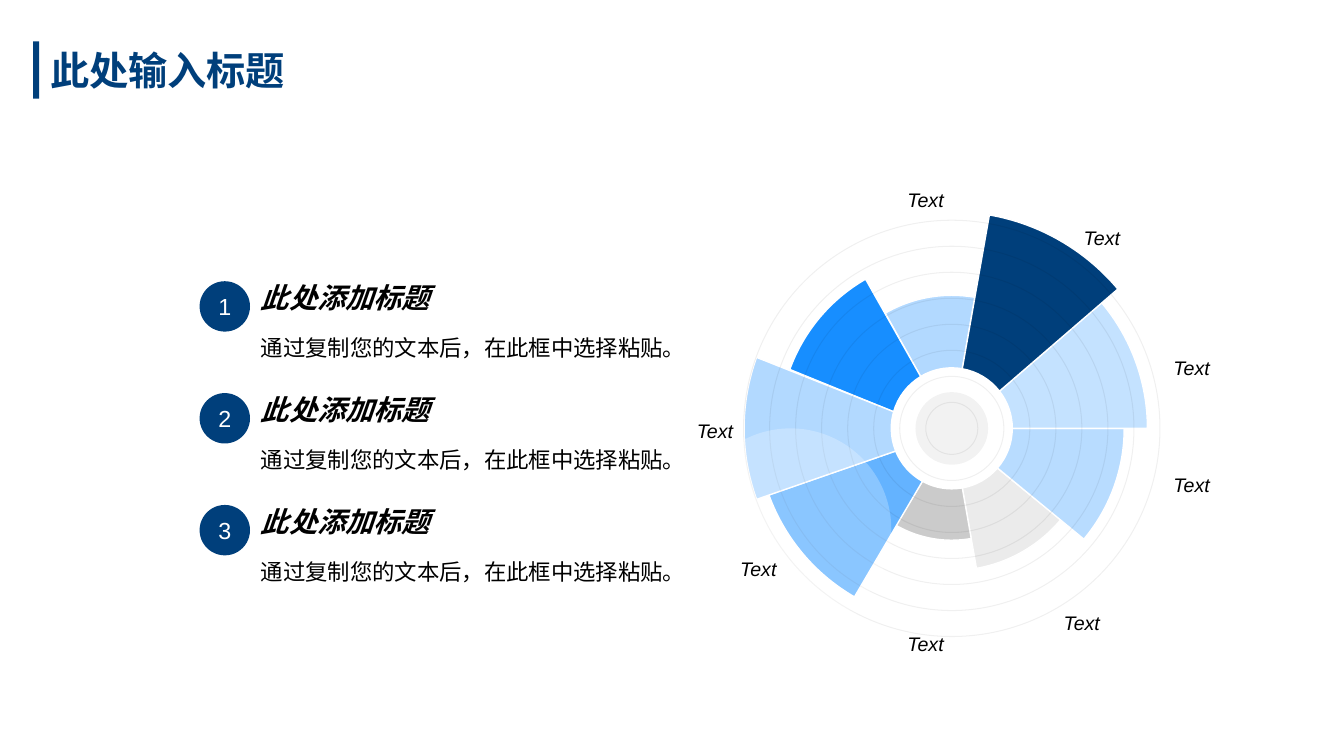
import math

import pptx
import pptx.util
from lxml import etree
from pptx.dml.color import RGBColor
from pptx.enum.shapes import MSO_SHAPE
from pptx.enum.text import MSO_ANCHOR, PP_ALIGN
from pptx.oxml.ns import qn
from pptx.util import Inches

NAVY = RGBColor(0x00, 0x3F, 0x7B)
BLUE = RGBColor(0x17, 0x8E, 0xFF)
MID_BLUE = RGBColor(0x64, 0xB3, 0xFF)
PALE_BLUE = RGBColor(0xB2, 0xD9, 0xFF)
GRAY = RGBColor(0xBF, 0xBF, 0xBF)
LIGHT_GRAY = RGBColor(0xD9, 0xD9, 0xD9)
WHITE = RGBColor(0xFF, 0xFF, 0xFF)
BLACK = RGBColor(0x00, 0x00, 0x00)

FONT = "Arial"
CX, CY = 9.44, 4.25
HUB_RADIUS = 0.6
SECTOR_ANGLE = 40
# Where the sector borders meet the hub, clockwise from three o'clock
HUB_ANGLES = [0, 41, 80, 119, 158, 196, 239, 280, 322, 360]
RING_COUNT = 8
OUTER_RING_DIAMETER = 4.13
ROW_PITCH = 1.11

# Position clockwise from three o'clock, outer radius, colour, opacity
SECTORS = [
    (6, 1.32, PALE_BLUE, 100),
    (1, 1.41, LIGHT_GRAY, 50),
    (5, 1.71, BLUE, 100),
    (0, 1.71, BLUE, 30),
    (2, 1.11, GRAY, 80),
    (8, 1.94, BLUE, 25),
    (3, 1.93, MID_BLUE, 100),
    (7, 2.15, NAVY, 100),
    (4, 2.06, PALE_BLUE, 100),
]

LABELS = [
    (6.75, 4.1, PP_ALIGN.RIGHT),
    (7.18, 5.47, PP_ALIGN.RIGHT),
    (11.54, 4.64, PP_ALIGN.LEFT),
    (11.54, 3.48, PP_ALIGN.LEFT),
    (10.65, 2.19, PP_ALIGN.LEFT),
    (8.87, 1.81, PP_ALIGN.CENTER),
    (8.87, 6.22, PP_ALIGN.CENTER),
    (10.45, 6.01, PP_ALIGN.LEFT),
]


def paint(fill, color, opacity=100):
    fill.solid()
    fill.fore_color.rgb = color
    if opacity < 100:
        clr = next(fill._xPr.iter(qn("a:srgbClr")))
        etree.SubElement(clr, qn("a:alpha")).set("val", str(opacity * 1000))


def add_filled(slide, kind, x, y, w, h, color, opacity=100):
    sp = slide.shapes.add_shape(kind, Inches(x), Inches(y), Inches(w), Inches(h))
    sp.shadow.inherit = False
    paint(sp.fill, color, opacity)
    sp.line.fill.background()
    return sp


def add_disc(slide, cx, cy, radius, color, opacity=100):
    return add_filled(slide, MSO_SHAPE.OVAL, cx - radius, cy - radius,
                      2 * radius, 2 * radius, color, opacity)


def add_ring(slide, radius):
    sp = add_disc(slide, CX, CY, radius, WHITE)
    sp.fill.background()
    paint(sp.line.fill, BLACK, 5)
    sp.line.width = pptx.util.Pt(0.75)


def polar(radius, angle):
    a = math.radians(angle)
    return Inches(CX + radius * math.cos(a)), Inches(CY + radius * math.sin(a))


def arc_knots(start, end):
    """Ends of an arc, with any quarter turn between them."""
    return [start] + [q for q in (90, 180, 270) if start < q < end] + [end]


def arc_controls(radius, start, end):
    """Bezier control points of an arc."""
    turn = math.radians(end - start)
    pull = 4 / 3 * math.tan(turn / 4)
    reach = radius * math.hypot(1, pull)
    swing = math.degrees(math.atan(pull))
    return [polar(reach, start + swing), polar(reach, end - swing)]


def curve_segment(sp, line_to, controls):
    """Turn one straight segment of a freeform into a curve."""
    line_to.tag = qn("a:cubicBezTo")
    for i, (x, y) in enumerate(controls):
        pt = etree.Element(qn("a:pt"), x=str(x - sp.left), y=str(y - sp.top))
        line_to.insert(i, pt)


def add_sector(slide, index, radius, color, opacity):
    start = index * SECTOR_ANGLE
    outer = arc_knots(start, start + SECTOR_ANGLE)
    inner = arc_knots(HUB_ANGLES[index], HUB_ANGLES[index + 1])[::-1]
    knots = [(radius, a) for a in outer] + [(HUB_RADIUS, a) for a in inner]
    points = [polar(*knot) for knot in knots]
    builder = slide.shapes.build_freeform(*points[0])
    builder.add_line_segments(points[1:], close=True)
    sp = builder.convert_to_shape()
    segments = list(sp._element.iter(qn("a:lnTo")))
    for segment, (r1, a1), (r2, a2) in zip(segments, knots, knots[1:]):
        if r1 == r2:
            curve_segment(sp, segment, arc_controls(r1, a1, a2))
    sp.shadow.inherit = False
    paint(sp.fill, color, opacity)
    sp.line.color.rgb = WHITE
    sp.line.width = pptx.util.Pt(1)


def set_text(sp, text, size, color=BLACK, align=PP_ALIGN.LEFT,
             anchor=MSO_ANCHOR.TOP, bold=False, italic=False, spacing=None):
    tf = sp.text_frame
    tf.word_wrap = True
    tf.vertical_anchor = anchor
    tf.text = text
    p = tf.paragraphs[0]
    p.alignment = align
    p.line_spacing = spacing
    font = p.runs[0].font
    font.name = FONT
    font.size = pptx.util.Pt(size)
    font.color.rgb = color
    font.bold = bold
    font.italic = italic


def add_text(slide, x, y, w, h, text, size, **style):
    sp = slide.shapes.add_textbox(Inches(x), Inches(y), Inches(w), Inches(h))
    set_text(sp, text, size, **style)


def add_title(slide):
    sp = add_filled(slide, MSO_SHAPE.RECTANGLE, 0.4, 0.41, 2.66, 0.57, WHITE)
    set_text(sp, "此处输入标题", 28, NAVY, bold=True)
    add_filled(slide, MSO_SHAPE.RECTANGLE, 0.33, 0.41, 0.06, 0.57, NAVY)


def add_wheel(slide):
    for sector in SECTORS:
        add_sector(slide, *sector)
    # Hub, rings and highlight
    add_disc(slide, CX, CY, HUB_RADIUS, WHITE)
    add_disc(slide, CX, CY, 0.36, BLACK, 5)
    for k in range(1, RING_COUNT + 1):
        add_ring(slide, OUTER_RING_DIAMETER / 2 * k / RING_COUNT)
    add_disc(slide, 7.84, 5.25, 1.0, WHITE, 25)
    # Labels around the wheel
    for x, y, align in LABELS:
        add_text(slide, x, y, 0.62, 0.34, "Text", 14, align=align,
                 anchor=MSO_ANCHOR.MIDDLE, italic=True)


def add_item(slide, number):
    top = 2.71 + (number - 1) * ROW_PITCH
    badge = add_disc(slide, 2.23, top + 0.33, 0.25, NAVY)
    badge.text_frame.margin_left = badge.text_frame.margin_right = 0
    set_text(badge, str(number), 16.6, WHITE, PP_ALIGN.CENTER, MSO_ANCHOR.MIDDLE)
    add_text(slide, 2.49, top + 0.45, 4.22, 0.36,
             "通过复制您的文本后，在此框中选择粘贴。", 16, spacing=1.4)
    add_text(slide, 2.49, top, 4.22, 0.46, "此处添加标题", 20,
             anchor=MSO_ANCHOR.BOTTOM, bold=True, italic=True, spacing=1.1)


def main():
    prs = pptx.Presentation()
    prs.slide_width = Inches(13.33)
    prs.slide_height = Inches(7.5)
    slide = prs.slides.add_slide(prs.slide_layouts[6])
    add_title(slide)
    add_wheel(slide)
    for number in range(1, 4):
        add_item(slide, number)
    prs.save("out.pptx")


if __name__ == "__main__":
    main()
